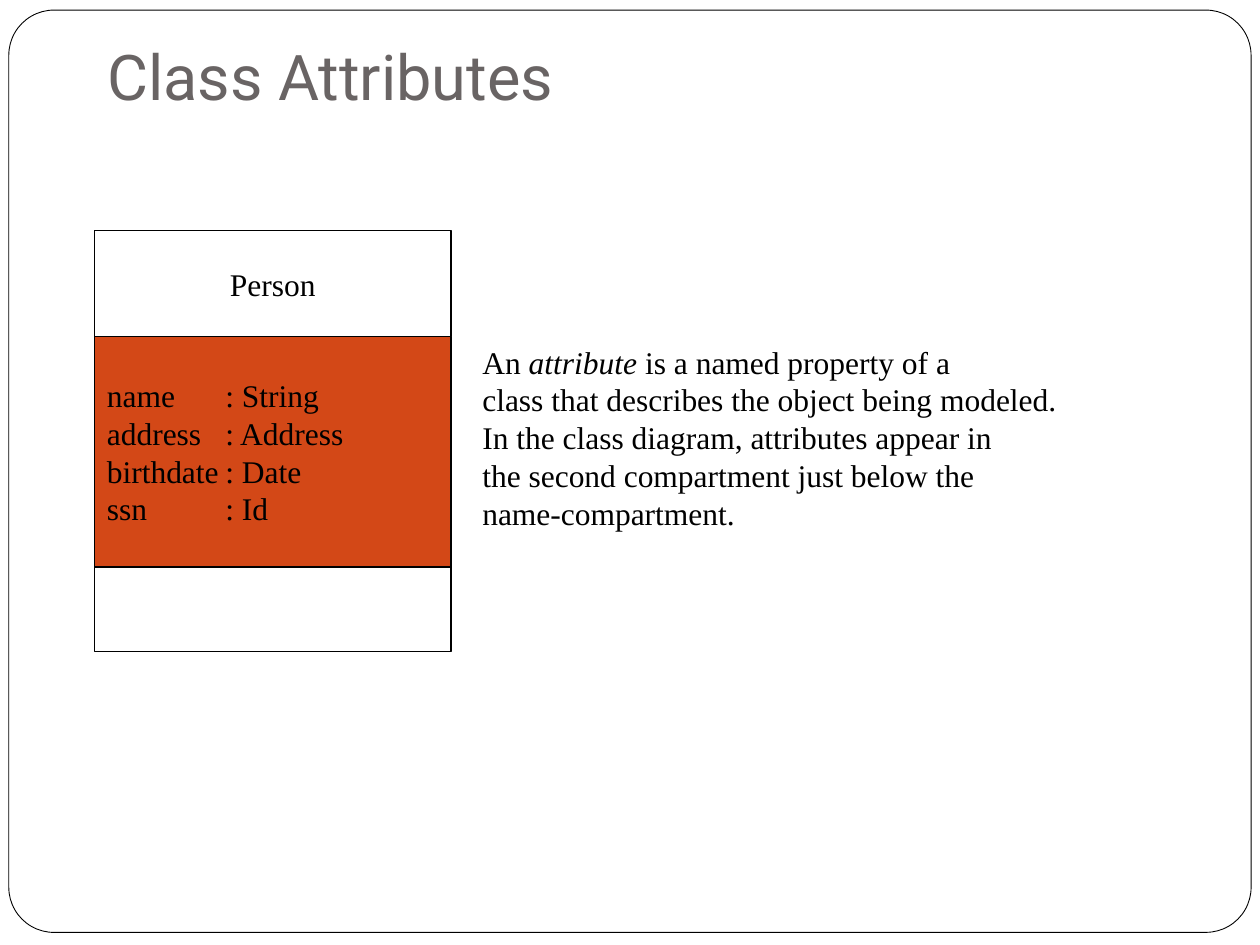
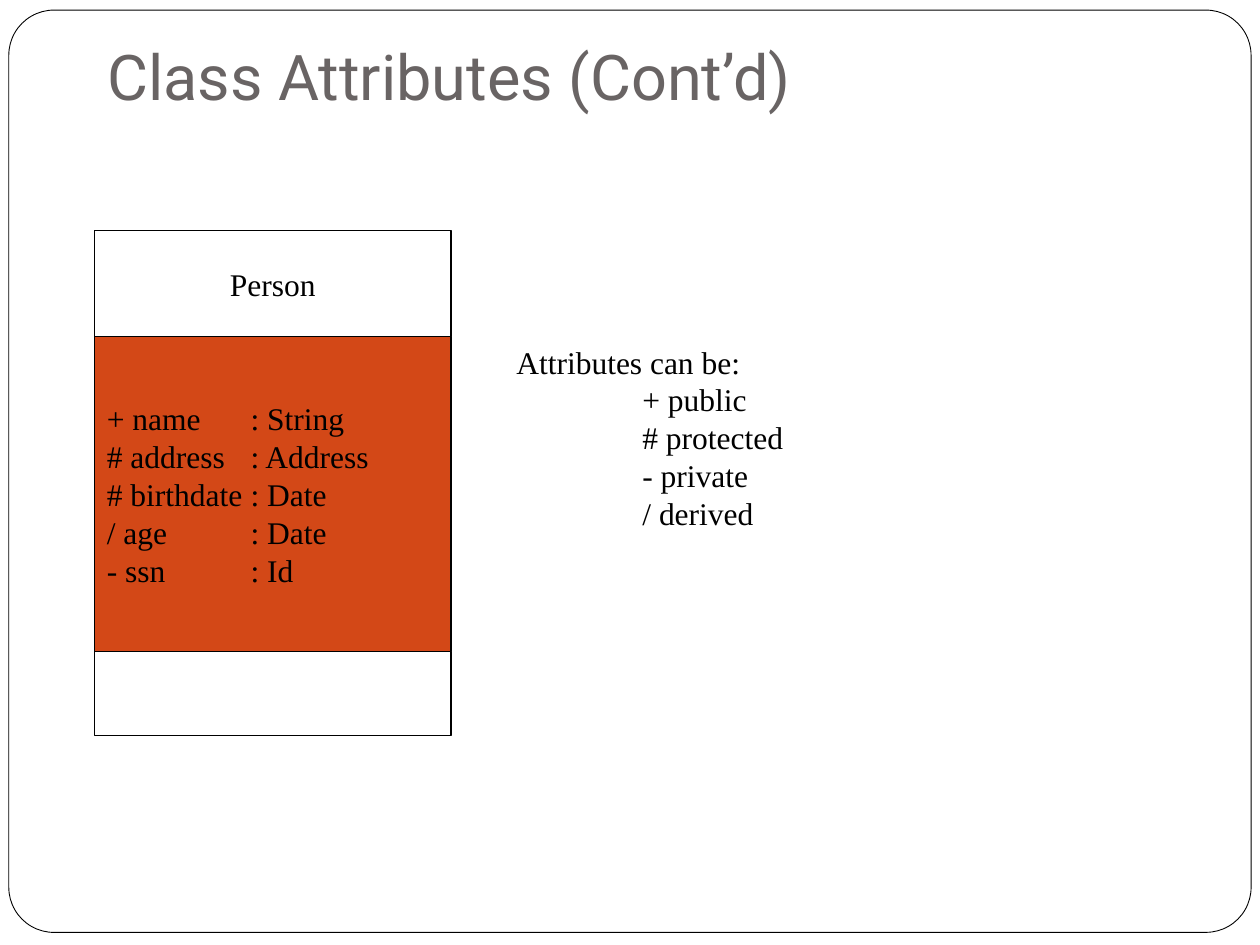
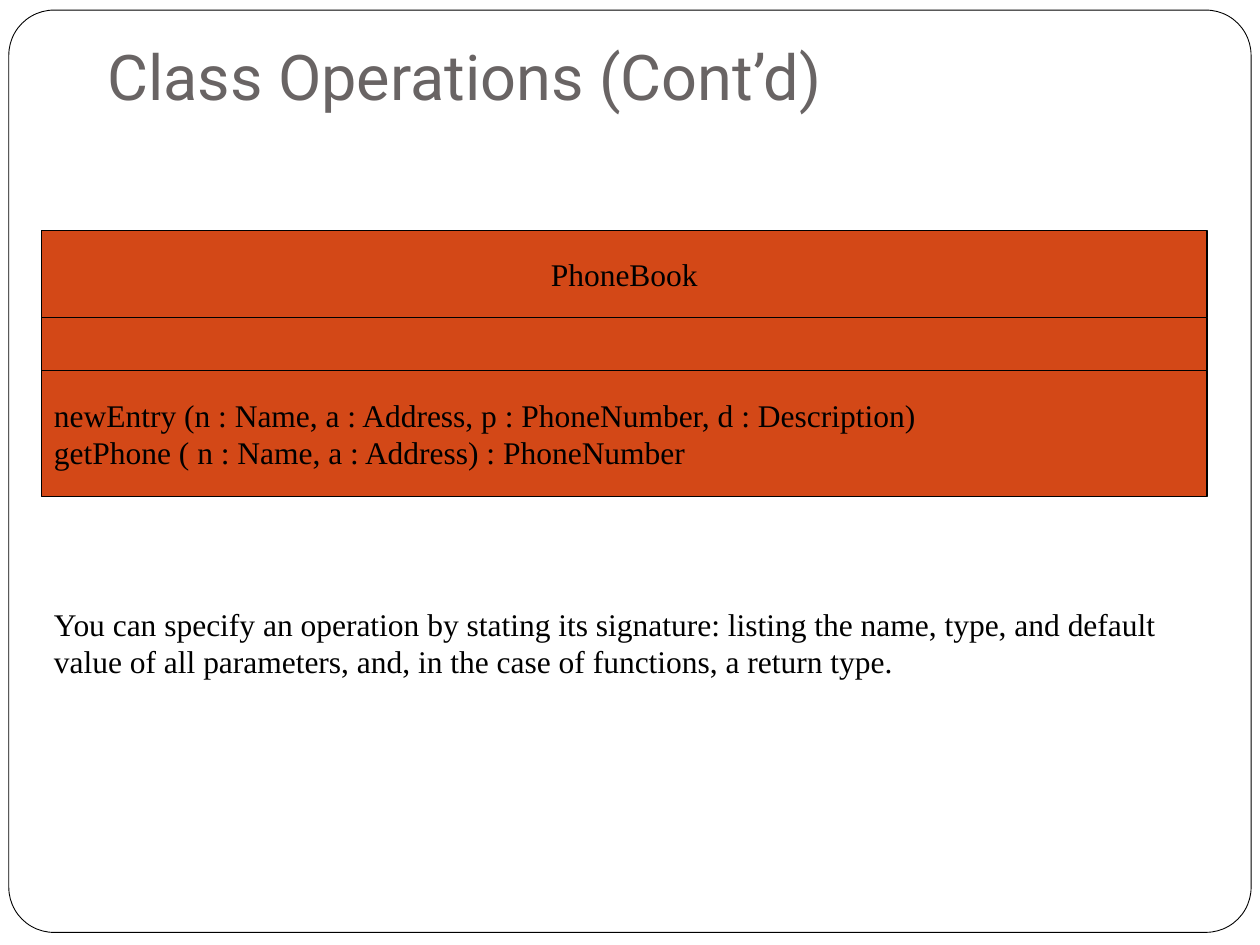
from dataclasses import dataclass

from pptx import Presentation
from pptx.dml.color import RGBColor
from pptx.enum.shapes import MSO_SHAPE
from pptx.enum.text import MSO_ANCHOR, MSO_AUTO_SIZE, PP_ALIGN
from pptx.oxml.ns import qn
from pptx.shapes.autoshape import Shape
from pptx.slide import Slide, SlideLayout
from pptx.util import Inches, Pt
from lxml.etree import SubElement

BLACK = RGBColor(0x00, 0x00, 0x00)
WHITE = RGBColor(0xFF, 0xFF, 0xFF)
RUST = RGBColor(0xD3, 0x48, 0x17)
GRAY = RGBColor(0x69, 0x64, 0x64)
HEAD_FONT = "Roboto"
BODY_FONT = "Times New Roman"
CLASS_TOP = 1.83


@dataclass(frozen=True)
class Row:
    """One compartment of a class box."""
    height: float
    fill: RGBColor
    text: str = ""
    align: PP_ALIGN = PP_ALIGN.LEFT
    tab: float = 0


@dataclass(frozen=True)
class Note:
    left: float
    top: float
    width: float
    height: float
    text: str
    accent: str = ""
    tab: float = 0


@dataclass(frozen=True)
class Page:
    title: str
    left: float
    width: float
    rows: tuple[Row, ...]
    note: Note


PAGES = (
    Page(
        "Class Attributes", 0.75, 2.83,
        (
            Row(0.84, WHITE, "Person", PP_ALIGN.CENTER),
            Row(1.83, RUST,
                "name\t: String\naddress\t: Address\n"
                "birthdate\t: Date\nssn\t: Id", tab=0.94),
            Row(0.67, WHITE),
        ),
        Note(3.73, 2.67, 6.27, 2.1,
             "An attribute is a named property of a\n"
             "class that describes the object being modeled.\n"
             "In the class diagram, attributes appear in\n"
             "the second compartment just below the\n"
             "name-compartment.", accent="attribute"),
    ),
    Page(
        "Class Attributes (Cont’d)", 0.75, 2.83,
        (
            Row(0.84, WHITE, "Person", PP_ALIGN.CENTER),
            Row(2.5, RUST,
                "+ name\t: String\n# address\t: Address\n"
                "# birthdate\t: Date\n/ age\t: Date\n- ssn\t: Id", tab=1.14),
            Row(0.67, WHITE),
        ),
        Note(4, 2.67, 2.69, 2.1,
             "Attributes can be:\n\t+ public\n\t# protected\n"
             "\t- private\n\t/ derived", tab=1),
    ),
    Page(
        "Class Operations (Cont’d)", 0.33, 9.25,
        (
            Row(0.69, RUST, "PhoneBook", PP_ALIGN.CENTER),
            Row(0.42, RUST),
            Row(1, RUST,
                "newEntry (n : Name, a : Address, p : PhoneNumber, "
                "d : Description)\n"
                "getPhone ( n : Name, a : Address) : PhoneNumber"),
        ),
        Note(0.33, 4.75, 9.17, 1.3,
             "You can specify an operation by stating its signature: "
             "listing the name, type, and default value of all parameters, "
             "and, in the case of functions, a return type."),
    ),
)


def write(shape: Shape, text: str, size: float, font: str, color: RGBColor,
          align: PP_ALIGN = PP_ALIGN.LEFT, tab: float = 0,
          accent: str = "") -> None:
    """Fill a shape with text; the first use of accent is set in italics."""
    frame = shape.text_frame
    frame.text = text
    frame.word_wrap = True
    for para in frame.paragraphs:
        para.alignment = align
        if tab:
            stops = SubElement(para._p.get_or_add_pPr(), qn("a:tabLst"))
            SubElement(stops, qn("a:tab"), pos=str(Inches(tab)), algn="l")
    if accent:
        para = frame.paragraphs[0]
        before, after = para.text.split(accent, 1)
        para.text = before
        for piece in (accent, after):
            run = para.add_run()
            run.text = piece
            run.font.italic = piece == accent
    for para in frame.paragraphs:
        for run in para.runs:
            run.font.size = Pt(size)
            run.font.name = font
            run.font.color.rgb = color


def add_box(slide: Slide, kind: MSO_SHAPE, left: float, top: float,
            width: float, height: float, fill: RGBColor,
            weight: float) -> Shape:
    box = slide.shapes.add_shape(kind, Inches(left), Inches(top),
                                 Inches(width), Inches(height))
    box.shadow.inherit = False
    box.fill.solid()
    box.fill.fore_color.rgb = fill
    box.line.color.rgb = BLACK
    box.line.width = Pt(weight)
    return box


def share_frame(slide: Slide, layout: SlideLayout) -> None:
    """Draw the rounded page frame and move it to the back of the layout."""
    frame = add_box(slide, MSO_SHAPE.ROUNDED_RECTANGLE,
                    0.07, 0.08, 9.86, 7.32, WHITE, 0.5)
    frame.adjustments[0] = 0.049
    frame.element.nvSpPr.cNvPr.set("id", "20")
    layout.shapes.element.insert(2, frame.element)


def set_title(slide: Slide, text: str) -> None:
    title = slide.shapes.title
    title.left, title.top = Inches(0.75), Inches(0.42)
    title.width, title.height = Inches(8.58), Inches(0.58)
    write(title, text, 36, HEAD_FONT, GRAY)
    frame = title.text_frame
    frame.auto_size = MSO_AUTO_SIZE.NONE
    frame.vertical_anchor = MSO_ANCHOR.BOTTOM
    frame.margin_bottom = Inches(0.1)


def add_class(slide: Slide, page: Page) -> None:
    top = CLASS_TOP
    for row in page.rows:
        box = add_box(slide, MSO_SHAPE.RECTANGLE, page.left, top,
                      page.width, row.height, row.fill, 0.75)
        if row.text:
            write(box, row.text, 18, BODY_FONT, BLACK, row.align, row.tab)
            box.text_frame.vertical_anchor = MSO_ANCHOR.MIDDLE
        top += row.height


def add_note(slide: Slide, note: Note) -> None:
    box = slide.shapes.add_textbox(Inches(note.left), Inches(note.top),
                                   Inches(note.width), Inches(note.height))
    write(box, note.text, 18, BODY_FONT, BLACK,
          tab=note.tab, accent=note.accent)


def main() -> None:
    deck = Presentation()
    deck.slide_width, deck.slide_height = Inches(10), Inches(7.5)
    layout = deck.slide_layouts.get_by_name("Title Only")
    for page in PAGES:
        slide = deck.slides.add_slide(layout)
        if page is PAGES[0]:
            share_frame(slide, layout)
        set_title(slide, page.title)
        add_class(slide, page)
        add_note(slide, page.note)
    deck.save("out.pptx")


if __name__ == "__main__":
    main()
